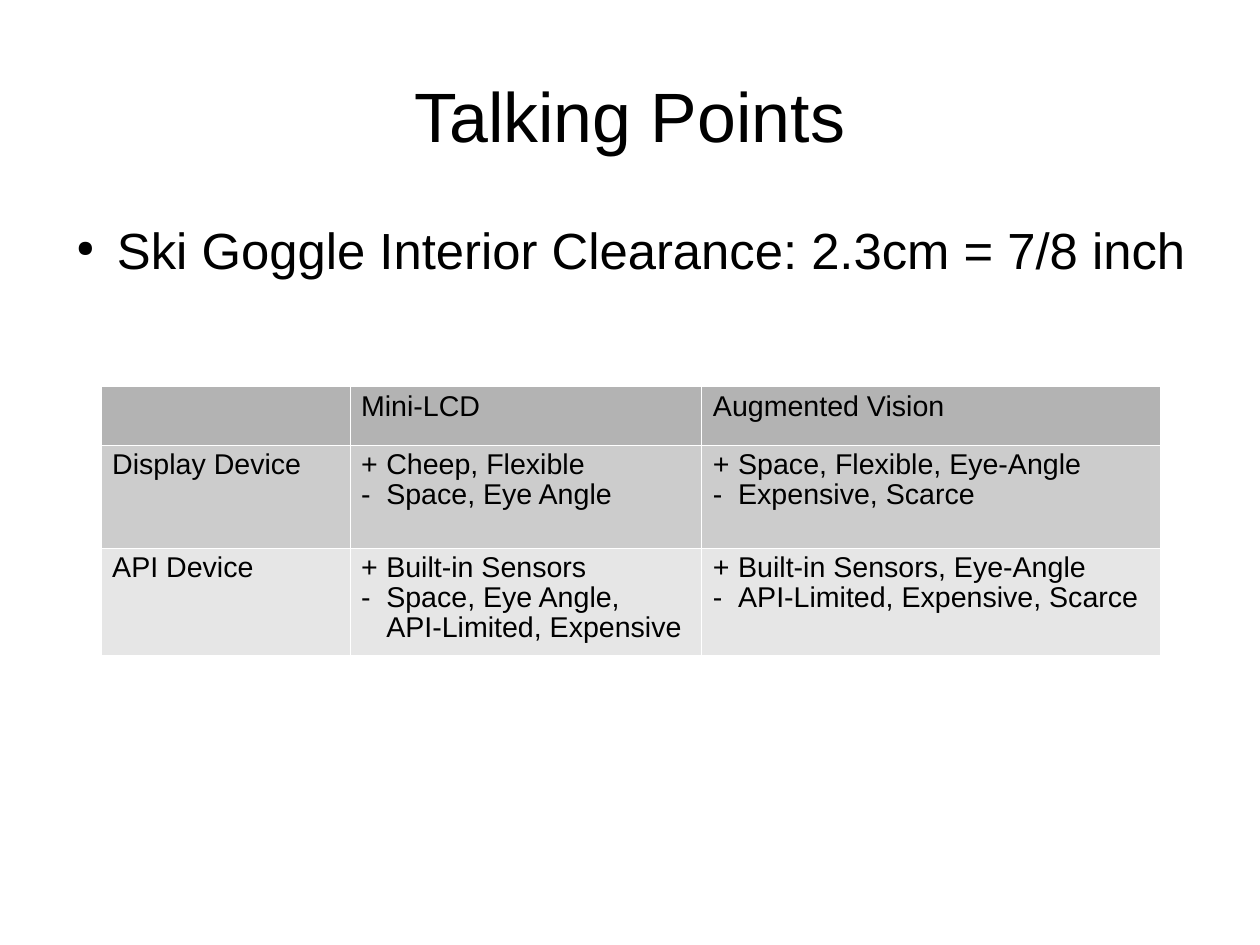
from lxml import etree
from pptx import Presentation
from pptx.dml.color import RGBColor
from pptx.enum.text import MSO_ANCHOR, PP_ALIGN
from pptx.oxml.ns import qn
from pptx.util import Cm, Pt

CENTER = PP_ALIGN.CENTER
TOP, MIDDLE = MSO_ANCHOR.TOP, MSO_ANCHOR.MIDDLE

BLACK, WHITE = "000000", "FFFFFF"
ROW_FILLS = ["B3B3B3", "CCCCCC", "E6E6E6"]
COLUMN_WIDTHS = [5.53, 7.82, 10.18]
ROW_HEIGHTS = [1.3, 2.29, 2.29]
SIGN_INDENT = 0.56
COMPARISON = [
    ["", "Mini-LCD", "Augmented Vision"],
    ["Display Device",
     "+\tCheep, Flexible\n-\tSpace, Eye Angle",
     "+\tSpace, Flexible, Eye-Angle\n-\tExpensive, Scarce"],
    ["API Device",
     "+\tBuilt-in Sensors\n-\tSpace, Eye Angle,\n\tAPI-Limited, Expensive",
     "+\tBuilt-in Sensors, Eye-Angle\n-\tAPI-Limited, Expensive, Scarce"],
]


def color(hex_string):
    return RGBColor.from_string(hex_string)


def format_paragraph(paragraph, size):
    paragraph.line_spacing = 0.93
    paragraph.font.name = "Arial"
    paragraph.font.size = Pt(size)
    paragraph.font.color.rgb = color(BLACK)


def set_indent(paragraph, left, first_line):
    properties = paragraph._p.get_or_add_pPr()
    properties.set("marL", str(Cm(left)))
    properties.set("indent", str(Cm(first_line)))


def add_bullet(paragraph):
    properties = paragraph._p.get_or_add_pPr()
    bullet_color = etree.SubElement(properties, qn("a:buClr"))
    etree.SubElement(bullet_color, qn("a:srgbClr"), val=BLACK)
    etree.SubElement(properties, qn("a:buSzPct"), val="45000")
    etree.SubElement(properties, qn("a:buChar"), char="●")


def add_text(slide, text, top, height, inset_top, anchor):
    """Add a full-width text box and return its paragraph."""
    box = slide.shapes.add_textbox(Cm(1.4), Cm(top), Cm(25.2), Cm(height))
    frame = box.text_frame
    frame.word_wrap = True
    frame.vertical_anchor = anchor
    frame.margin_left = frame.margin_right = frame.margin_bottom = 0
    frame.margin_top = Cm(inset_top)
    frame.text = text
    return frame.paragraphs[0]


def add_borders(cell):
    properties = cell._tc.get_or_add_tcPr()
    for side in ("a:lnL", "a:lnR", "a:lnT", "a:lnB"):
        line = etree.SubElement(properties, qn(side), w=str(Pt(0.06)))
        fill = etree.SubElement(line, qn("a:solidFill"))
        etree.SubElement(fill, qn("a:srgbClr"), val=WHITE)


def fill_cell(cell, text, fill):
    add_borders(cell)
    cell.fill.solid()
    cell.fill.fore_color.rgb = color(fill)
    cell.text = text
    for paragraph in cell.text_frame.paragraphs:
        if "\t" in paragraph.text:
            set_indent(paragraph, SIGN_INDENT, -SIGN_INDENT)
        format_paragraph(paragraph, 18)


def add_comparison_table(slide):
    table = slide.shapes.add_table(
        len(ROW_HEIGHTS), len(COLUMN_WIDTHS), Cm(2.24), Cm(8.59),
        Cm(sum(COLUMN_WIDTHS)), Cm(sum(ROW_HEIGHTS))).table
    table.first_row = table.horz_banding = False
    for column, width in zip(table.columns, COLUMN_WIDTHS):
        column.width = Cm(width)
    for row, height, texts, fill in zip(table.rows, ROW_HEIGHTS, COMPARISON, ROW_FILLS):
        row.height = Cm(height)
        for cell, text in zip(row.cells, texts):
            fill_cell(cell, text, fill)


def main():
    presentation = Presentation()
    presentation.slide_width, presentation.slide_height = Cm(28), Cm(21)
    slide = presentation.slides.add_slide(presentation.slide_layouts[6])

    title = add_text(slide, "Talking Points", 0.84, 3.5, 0.1, MIDDLE)
    title.alignment = CENTER
    format_paragraph(title, 44)

    clearance = add_text(slide, "Ski Goggle Interior Clearance: 2.3cm = 7/8 inch",
                         4.9, 12.2, 0.08, TOP)
    set_indent(clearance, 1.2, -0.9)
    add_bullet(clearance)
    format_paragraph(clearance, 32)

    add_comparison_table(slide)
    presentation.save("out.pptx")


if __name__ == "__main__":
    main()
